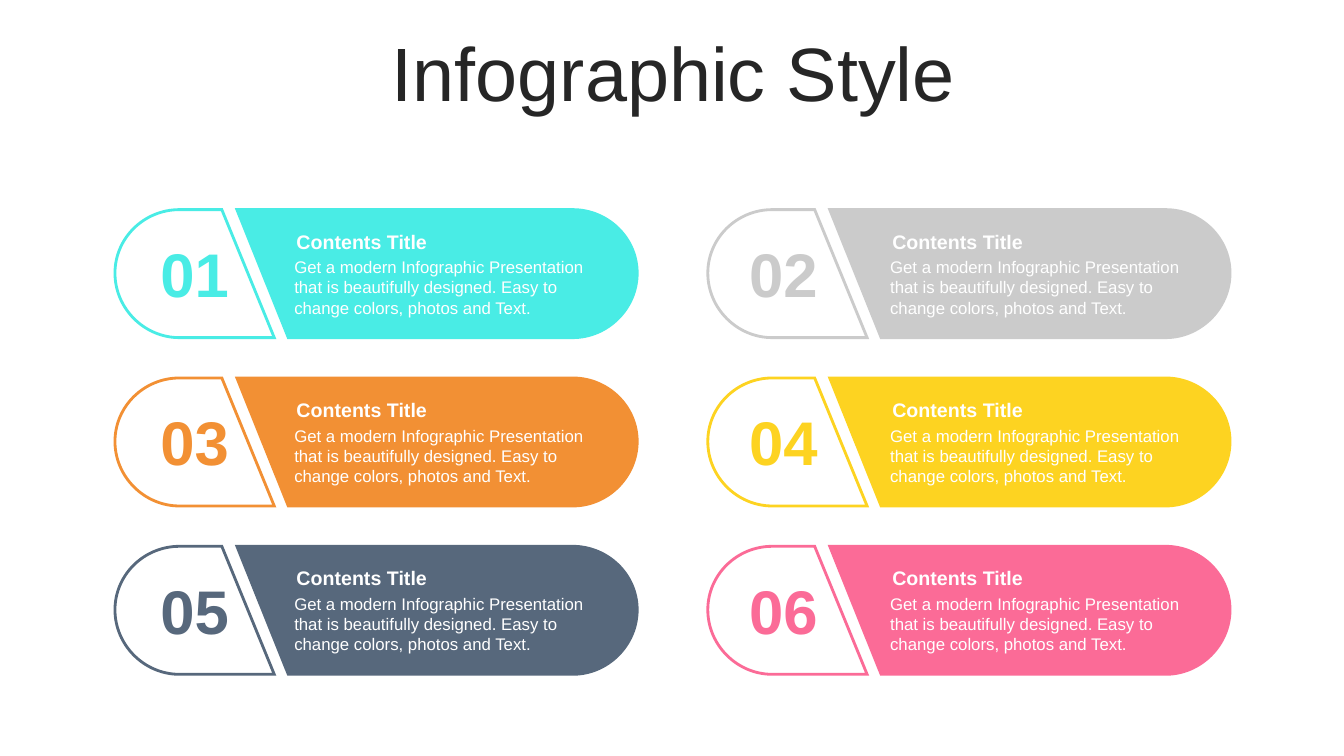
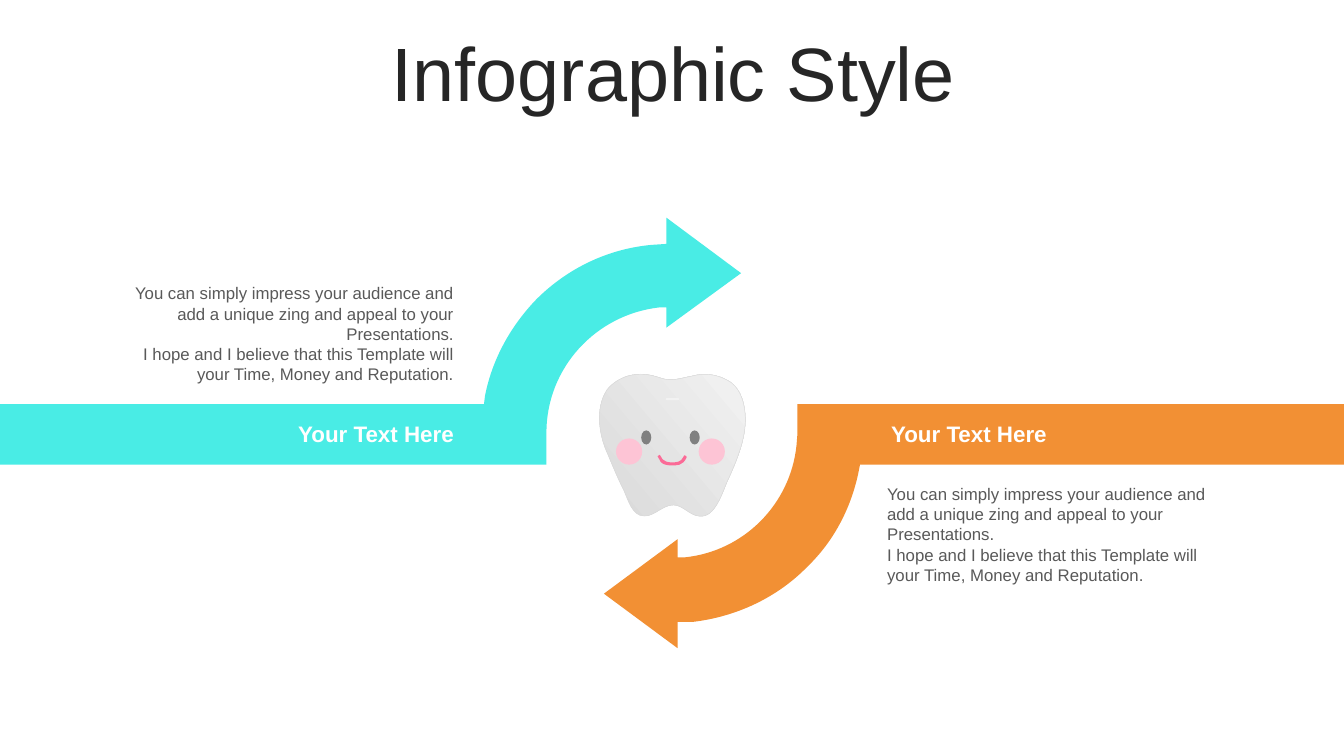
import lxml.etree
import pptx
import pptx.dml.color
import pptx.enum.shapes
import pptx.enum.text
import pptx.oxml.ns
import pptx.util
from pptx.util import Inches

ALIGN = pptx.enum.text.PP_ALIGN
ANCHOR = pptx.enum.text.MSO_ANCHOR
OVAL = pptx.enum.shapes.MSO_SHAPE.OVAL

FONT = "Arial"
WHITE, DARK, BODY = "FFFFFF", "262626", "595959"
TURQUOISE, SILVER, ORANGE = "49ECE5", "CBCBCB", "F29034"
YELLOW, SLATE, PINK = "FDD321", "57687C", "FB6B97"
CHEEK, EYE, TOOTH_DARK, TOOTH_LIGHT = "FDC4D5", "808080", "D9D9D9", "F2F2F2"

CARD_COLORS = [TURQUOISE, SILVER, ORANGE, YELLOW, SLATE, PINK]
CARD_TEXT = ("Get a modern Infographic Presentation that is beautifully designed. "
             "Easy to change colors, photos and Text.")
ARROW_TEXT = [
    "You can simply impress your audience and add a unique zing and appeal to your Presentations.",
    "I hope and I believe that this Template will your Time, Money and Reputation.",
]

# Left edges of a column's outline, number and text
COLUMNS = [(1.14, 1.41, 2.82), (7.02, 7.25, 8.73)]
FIRST_ROW, ROW_PITCH = 2.08, 1.67

# Outlines: a pair is a corner, six numbers are a Bézier curve
NUMBER_TAB = [(0.64, 0), (1.06, 0), (1.58, 1.27), (0.64, 1.27),
              (0.29, 1.27, 0, 0.98, 0, 0.63), (0, 0.28, 0.29, 0, 0.64, 0)]
TEXT_PANEL = [(1.21, 0), (4.54, 0), (4.89, 0, 5.18, 0.28, 5.18, 0.63),
              (5.18, 0.98, 4.89, 1.27, 4.54, 1.27), (1.72, 1.27)]
LEFT_ARROW = [
    (6.61, 2.16), (7.35, 2.71), (6.61, 3.25), (6.61, 3.05), (6.54, 3.05),
    (5.91, 3.12, 5.42, 3.65, 5.42, 4.29), (5.42, 4.61), (0, 4.61), (0, 4.01),
    (4.8, 4.01), (4.81, 3.93), (4.88, 3.57, 5.06, 3.24, 5.32, 2.97),
    (5.63, 2.66, 6.03, 2.47, 6.46, 2.43), (6.61, 2.42)]
RIGHT_ARROW = [
    (7.91, 4.01), (13.33, 4.01), (13.33, 4.61), (8.53, 4.61), (8.52, 4.66),
    (8.45, 5.02, 8.28, 5.36, 8.01, 5.62), (7.71, 5.93, 7.3, 6.12, 6.87, 6.17),
    (6.72, 6.17), (6.72, 6.43), (5.99, 5.89), (6.72, 5.35), (6.72, 5.53),
    (6.79, 5.53), (7.38, 5.47, 7.84, 5, 7.9, 4.42), (7.91, 4.3)]
TOOTH = [
    (7.39, 4.1), (7.38, 3.97, 7.33, 3.83, 7.21, 3.77),
    (7.1, 3.71, 6.98, 3.7, 6.87, 3.73), (6.76, 3.75, 6.66, 3.79, 6.55, 3.75),
    (6.44, 3.71, 6.34, 3.7, 6.23, 3.73), (6.16, 3.75, 6.07, 3.8, 6.02, 3.87),
    (5.9, 4.05, 5.94, 4.32, 6.03, 4.51), (6.08, 4.63, 6.13, 4.75, 6.19, 4.87),
    (6.23, 4.96, 6.27, 5.12, 6.39, 5.12), (6.5, 5.12, 6.57, 5.01, 6.68, 5.01),
    (6.77, 5.01, 6.84, 5.11, 6.93, 5.12), (7.1, 5.15, 7.17, 4.86, 7.23, 4.74),
    (7.32, 4.54, 7.41, 4.32, 7.39, 4.1)]
SHINE = [(6.61, 3.95), (6.73, 3.95), (6.74, 3.95, 6.74, 3.97, 6.73, 3.97),
         (6.61, 3.97), (6.6, 3.97, 6.6, 3.95, 6.61, 3.95)]
SMILE = [
    (6.55, 4.52), (6.56, 4.55, 6.58, 4.57, 6.61, 4.58),
    (6.65, 4.59, 6.69, 4.59, 6.73, 4.58), (6.75, 4.57, 6.77, 4.56, 6.78, 4.53),
    (6.78, 4.52, 6.79, 4.51, 6.8, 4.52), (6.81, 4.52, 6.81, 4.53, 6.81, 4.54),
    (6.79, 4.58, 6.77, 4.6, 6.74, 4.61), (6.69, 4.62, 6.64, 4.62, 6.6, 4.61),
    (6.56, 4.6, 6.54, 4.57, 6.53, 4.54), (6.52, 4.53, 6.52, 4.52, 6.53, 4.52),
    (6.54, 4.51, 6.55, 4.51, 6.55, 4.52)]


def rgb(color):
    return pptx.dml.color.RGBColor.from_string(color)


def add_element(parent, tag, **attributes):
    return lxml.etree.SubElement(parent, pptx.oxml.ns.qn(tag), attributes)


def paint(shape, fill, line=None, width=2):
    shape.shadow.inherit = False
    shape.fill.solid()
    shape.fill.fore_color.rgb = rgb(fill)
    if line:
        shape.line.color.rgb = rgb(line)
        shape.line.width = pptx.util.Pt(width)
        add_element(shape.element.xpath(".//a:ln")[0], "a:miter", lim="800000")
    else:
        shape.line.fill.background()


def flatten(outline, steps=16):
    """Turn corners and Bézier curves into a list of points."""
    points = []
    for part in outline:
        if len(part) == 2:
            points.append(part)
            continue
        controls = [points[-1], part[:2], part[2:4], part[4:]]
        for step in range(1, steps + 1):
            t = step / steps
            weights = [(1 - t) ** 3, 3 * t * (1 - t) ** 2, 3 * t * t * (1 - t), t ** 3]
            points.append(tuple(sum(w * c[axis] for w, c in zip(weights, controls))
                                for axis in (0, 1)))
    return points


def add_outline(shapes, outline, fill, left=0, top=0, **line):
    """Size a freeform by its flattened outline, then draw true curves in it."""
    points = [(Inches(left + x), Inches(top + y)) for x, y in flatten(outline)]
    builder = shapes.build_freeform(*points[0], scale=1.0)
    builder.add_line_segments(points[1:], close=True)
    shape = builder.convert_to_shape()
    geometry = shape.element.xpath(".//a:path")[0]
    for segment in list(geometry):
        geometry.remove(segment)
    for index, part in enumerate(outline):
        tag = "a:moveTo" if index == 0 else "a:lnTo" if len(part) == 2 else "a:cubicBezTo"
        segment = add_element(geometry, tag)
        for x, y in zip(part[::2], part[1::2]):
            add_element(segment, "a:pt", x=str(Inches(left + x) - shape.left),
                        y=str(Inches(top + y) - shape.top))
    add_element(geometry, "a:close")
    paint(shape, fill, **line)
    return shape


def add_oval(shapes, left, top, width, height, fill):
    paint(shapes.add_shape(OVAL, Inches(left), Inches(top), Inches(width), Inches(height)), fill)


def write(frame, text, size, color, bold=False, align=ALIGN.LEFT, line_spacing=None):
    """Fill a text frame with one string or a list of paragraphs."""
    frame.word_wrap = True
    frame.auto_size = pptx.enum.text.MSO_AUTO_SIZE.NONE
    frame.text = text if isinstance(text, str) else "\n".join(text)
    for paragraph in frame.paragraphs:
        paragraph.alignment = align
        paragraph.line_spacing = line_spacing
        paragraph.space_before = pptx.util.Pt(0)
        font = paragraph.font
        font.name, font.size, font.bold = FONT, pptx.util.Pt(size), bold
        font.color.rgb = rgb(color)


def add_text(shapes, text, left, top, width, height, side_inset=0.1, **style):
    box = shapes.add_textbox(Inches(left), Inches(top), Inches(width), Inches(height))
    frame = box.text_frame
    frame.margin_left = frame.margin_right = Inches(side_inset)
    write(frame, text, **style)


def add_titled_slide(deck, heading):
    slide = deck.slides.add_slide(deck.slide_layouts[5])
    title = slide.shapes.title
    title.left, title.top = Inches(0.35), Inches(0.37)
    title.width, title.height = Inches(12.66), Inches(0.79)
    title.text_frame.vertical_anchor = ANCHOR.MIDDLE
    write(title.text_frame, heading, 54, DARK, align=ALIGN.CENTER, line_spacing=0.9)
    return slide


def add_card(shapes, index, color):
    row, column = divmod(index, len(COLUMNS))
    left, number_left, text_left = COLUMNS[column]
    top = FIRST_ROW + row * ROW_PITCH
    add_outline(shapes, NUMBER_TAB, WHITE, left, top, line=color)
    add_outline(shapes, TEXT_PANEL, color, left, top, line=color)
    add_text(shapes, f"{index + 1:02}", number_left, top + 0.21, 1.04, 0.84,
             size=44, color=color, bold=True, align=ALIGN.CENTER)
    add_text(shapes, CARD_TEXT, text_left, top + 0.42, 3.32, 0.71, size=12, color=WHITE)
    add_text(shapes, "Contents Title", text_left, top + 0.15, 3.32, 0.34,
             side_inset=0.12, size=14, color=WHITE, bold=True)


def add_tooth(shapes):
    tooth = add_outline(shapes, TOOTH, TOOTH_DARK, line=TOOTH_DARK, width=0.3)
    tooth.fill.gradient()
    tooth.fill.gradient_angle = 40
    for stop, color in zip(tooth.fill.gradient_stops, (TOOTH_DARK, TOOTH_LIGHT)):
        stop.color.rgb = rgb(color)
    add_outline(shapes, SHINE, TOOTH_LIGHT)
    add_outline(shapes, SMILE, PINK)
    for cheek_left, eye_left in ((6.11, 6.36), (6.93, 6.84)):
        add_oval(shapes, cheek_left, 4.35, 0.26, 0.26, CHEEK)
        add_oval(shapes, eye_left, 4.27, 0.1, 0.14, EYE)


def add_arrow(shapes, outline, color, label_box, text_box, align):
    add_outline(shapes, outline, color)
    add_text(shapes, "Your Text Here", *label_box,
             size=16, color=WHITE, bold=True, align=align)
    add_text(shapes, ARROW_TEXT, *text_box, size=12, color=BODY, align=align)


def main():
    deck = pptx.Presentation()
    deck.slide_width, deck.slide_height = Inches(13.33), Inches(7.5)

    cards = add_titled_slide(deck, "Infographic Style")
    for index, color in enumerate(CARD_COLORS):
        add_card(cards.shapes, index, color)

    arrows = add_titled_slide(deck, "Infographic Style")
    add_arrow(arrows.shapes, LEFT_ARROW, TURQUOISE,
              (1.77, 4.12, 2.83, 0.37), (1.15, 2.76, 3.45, 1.11), ALIGN.RIGHT)
    add_arrow(arrows.shapes, RIGHT_ARROW, ORANGE,
              (8.74, 4.12, 2.79, 0.37), (8.7, 4.75, 3.45, 1.11), ALIGN.LEFT)
    add_tooth(arrows.shapes.add_group_shape().shapes)

    deck.save("out.pptx")


if __name__ == "__main__":
    main()
